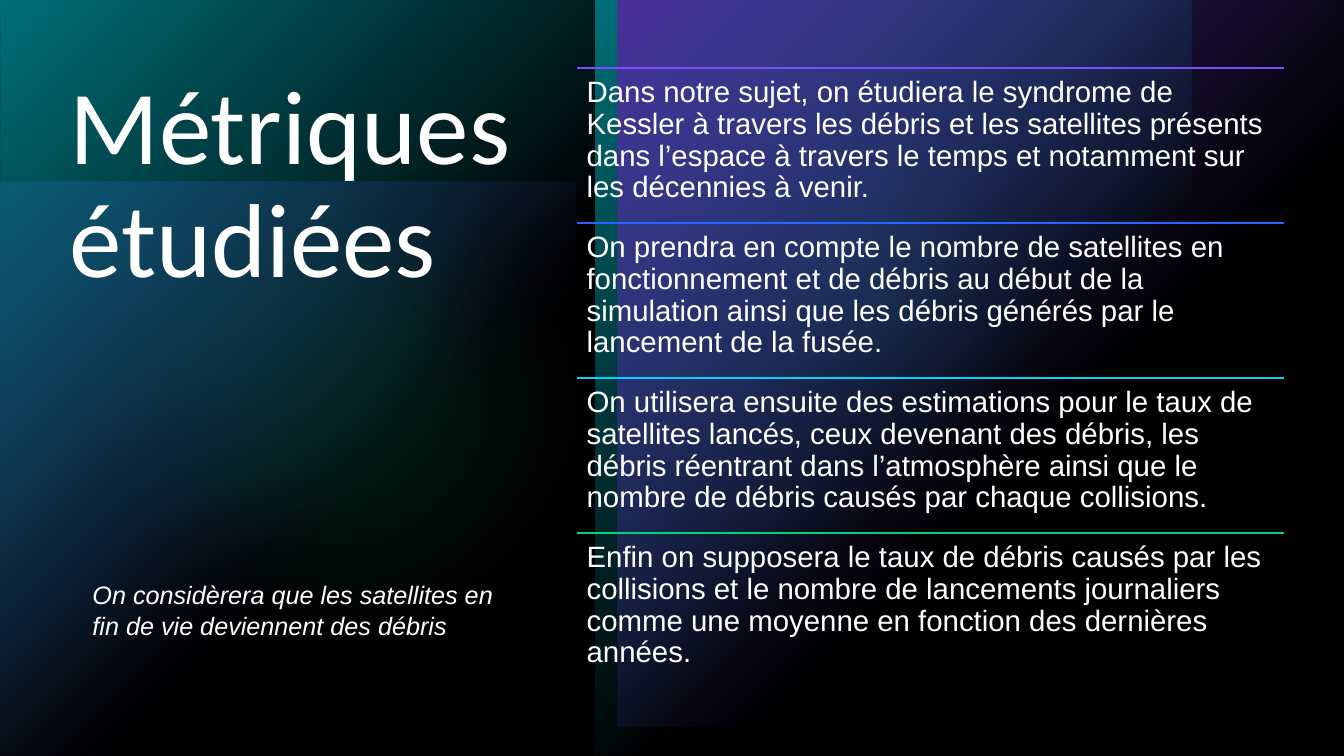
from pptx import Presentation
from pptx.dml.color import RGBColor
from pptx.enum.shapes import MSO_CONNECTOR, MSO_SHAPE
from pptx.enum.text import MSO_ANCHOR, MSO_AUTO_SIZE, PP_ALIGN
from pptx.oxml import parse_xml
from pptx.oxml.ns import nsdecls, qn
from pptx.util import Pt
from lxml.etree import SubElement

TITLE = "Métriques étudiées"
NOTE = "On considèrera que les satellites en fin de vie deviennent des débris"
POINTS = [
    ("violet", "Dans notre sujet, on étudiera le syndrome de Kessler à travers les débris et les satellites présents dans l’espace à travers le temps et notamment sur les décennies à venir."),
    ("blue", "On prendra en compte le nombre de satellites en fonctionnement et de débris au début de la simulation ainsi que les débris générés par le lancement de la fusée."),
    ("cyan", "On utilisera ensuite des estimations pour le taux de satellites lancés, ceux devenant des débris, les débris réentrant dans l’atmosphère ainsi que le nombre de débris causés par chaque collisions."),
    ("green", "Enfin on supposera le taux de débris causés par les collisions et le nombre de lancements journaliers comme une moyenne en fonction des dernières années."),
]
THEME = {
    "violet": "794DFF", "blue": "2466FF", "cyan": "00D5FA", "green": "00D17D",
    "teal": "00BAC8", "black": "000000", "white": "FFFFFF",
    "head": "Calibri", "text": "Arial",
    "title": 75, "body": 21, "note": 18,
}
WIDE, HIGH = 960, 540
HALF = 425.5
RECT, OVAL = MSO_SHAPE.RECTANGLE, MSO_SHAPE.OVAL
GLOWS = [
    (RECT, (0, 129.5, 411, 411), 0, "v", "violet", 60),
    (OVAL, (453, 31, 340, 340), 0, "v", "green", 60),
    (OVAL, (0, 40, 500, 500), 0, "v", "green", 20),
    (RECT, (0, 0, HALF, HIGH), 180, "v", "teal", 100),
    (RECT, (HALF, 0, HALF, HIGH), 180, "hv", "teal", 100),
    (RECT, (441, 0, 519, 519), 180, "v", "violet", 100),
]
SOFT = 100
LEFT, TOP, SPAN, STEP = 412.5, 48.7, 505, 110.7


def color(name):
    return RGBColor.from_string(THEME[name])


def block(slide, kind, box, name, alpha):
    shape = slide.shapes.add_shape(kind, *map(Pt, box))
    shape.shadow.inherit = False
    shape.line.fill.background()
    shape.fill.solid()
    shape.fill.fore_color.rgb = color(name)
    tint = shape.fill._xPr.find(qn("a:solidFill"))[0]
    SubElement(tint, qn("a:alpha"), val=str(alpha * 1000))
    return shape


def fade(shape, name, alpha):
    stops = "".join(
        f'<a:gs pos="{pos * 1000}"><a:srgbClr val="{THEME[name]}">'
        f'<a:alpha val="{part * 1000}"/></a:srgbClr></a:gs>'
        for pos, part in ((0, alpha), (60, 0)))
    grad = parse_xml(
        f'<a:gradFill {nsdecls("a")} rotWithShape="1"><a:gsLst>{stops}</a:gsLst>'
        '<a:path path="circle"><a:fillToRect r="100000" b="100000"/></a:path></a:gradFill>')
    props = shape._element.spPr
    props.replace(props.find(qn("a:solidFill")), grad)


def glow(slide, kind, box, turn, flip, name, alpha):
    shape = block(slide, kind, box, name, alpha)
    shape.rotation = turn
    props = shape._element.spPr
    for axis in flip:
        props.find(qn("a:xfrm")).set("flip" + axis.upper(), "1")
    if kind == RECT:
        fade(shape, name, alpha)
    else:
        SubElement(props.find(qn("a:effectLst")), qn("a:softEdge"), rad=str(Pt(SOFT)))


def write(shape, text, face, size, space=None, pad=None, slant=None):
    frame = shape.text_frame
    frame.word_wrap = True
    frame.auto_size = MSO_AUTO_SIZE.NONE
    frame.vertical_anchor = MSO_ANCHOR.TOP
    if pad:
        frame.margin_left = frame.margin_right = Pt(pad)
        frame.margin_top = frame.margin_bottom = Pt(pad)
    para = frame.paragraphs[0]
    para.alignment = PP_ALIGN.LEFT
    para.line_spacing = space
    run = para.add_run()
    run.text = text
    run.font.name = THEME[face]
    run.font.size = Pt(THEME[size])
    run.font.italic = slant
    run.font.color.rgb = color("white")


def rule(slide, top, name):
    line = slide.shapes.add_connector(
        MSO_CONNECTOR.STRAIGHT, Pt(LEFT), Pt(top), Pt(LEFT + SPAN), Pt(top))
    line.line.color.rgb = color(name)
    line.line.width = Pt(1)
    SubElement(line._element.spPr, qn("a:effectLst"))


def main():
    deck = Presentation()
    deck.slide_width, deck.slide_height = Pt(WIDE), Pt(HIGH)
    slide = deck.slides.add_slide(deck.slide_layouts[5])
    slide.background.fill.solid()
    slide.background.fill.fore_color.rgb = color("black")
    for item in GLOWS:
        glow(slide, *item)
    block(slide, RECT, (0, 0, WIDE, HIGH), "black", 40)

    title = slide.shapes.title
    title.left, title.top, title.width, title.height = map(Pt, (42.5, 49, 354, 310))
    slide.shapes._spTree.append(title._element)
    write(title, TITLE, "head", "title", space=0.9)

    for row, (name, text) in enumerate(POINTS):
        top = TOP + row * STEP
        rule(slide, top, name)
        box = slide.shapes.add_textbox(Pt(LEFT), Pt(top), Pt(SPAN), Pt(STEP))
        write(box, text, "text", "body", space=0.9, pad=6.5)

    note = slide.shapes.add_textbox(Pt(59), Pt(410.5), Pt(321), Pt(51))
    write(note, NOTE, "text", "note", slant=True)
    deck.save("out.pptx")


if __name__ == "__main__":
    main()
